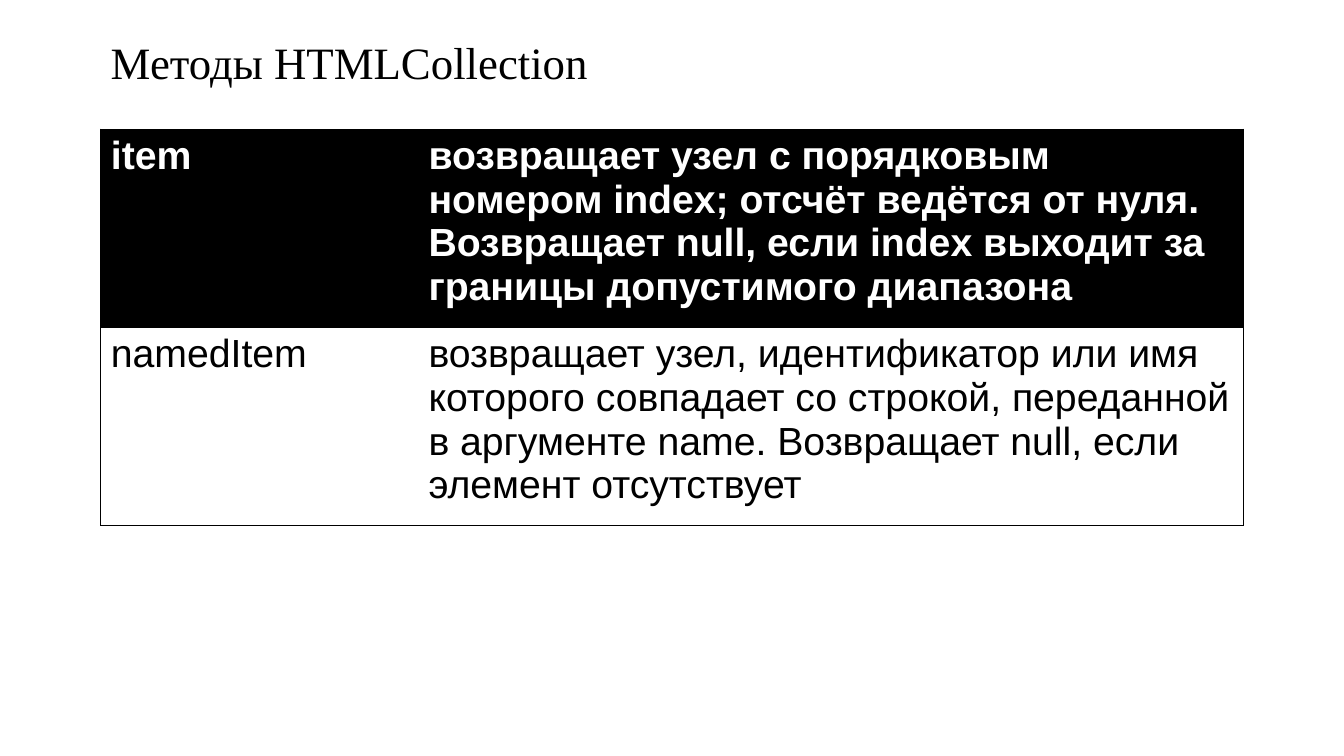
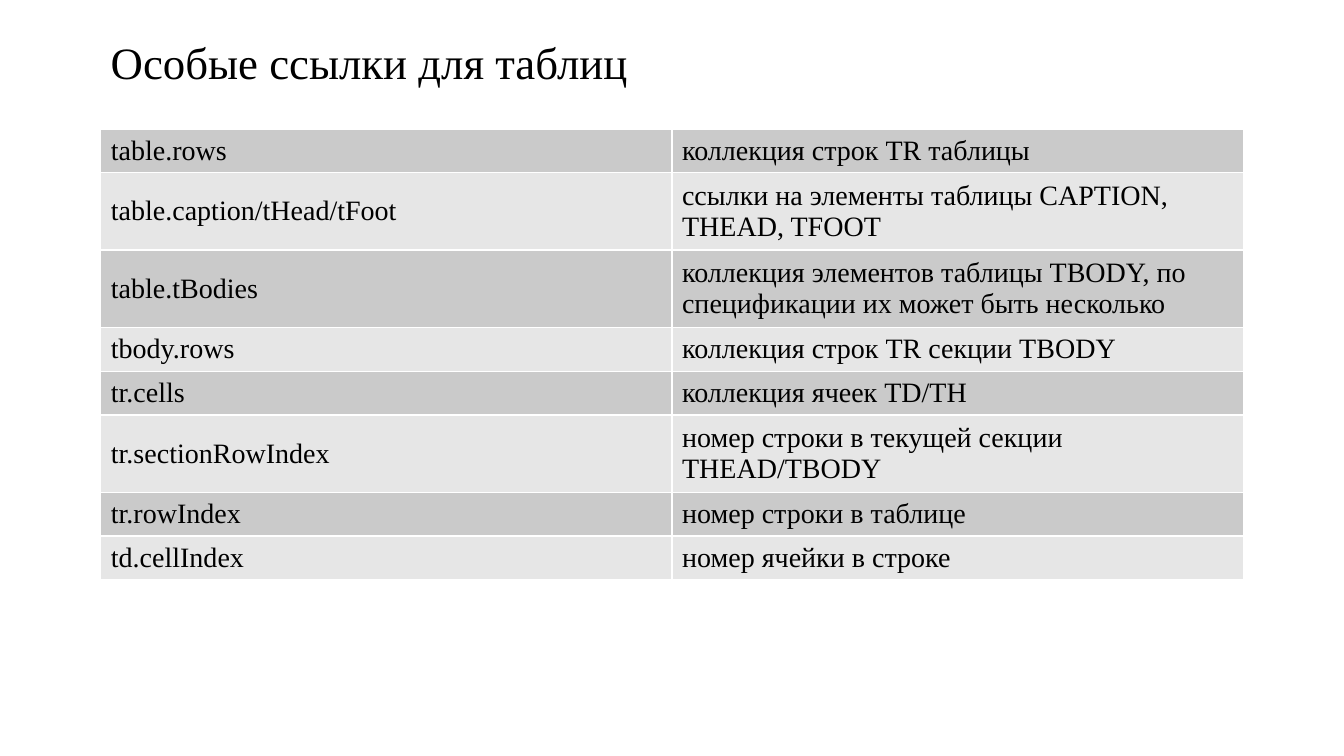
from pptx import Presentation
from pptx.dml.color import RGBColor
from pptx.enum.text import MSO_ANCHOR as Anchor
from pptx.oxml.ns import qn
from pptx.util import Inches, Pt
from lxml.etree import SubElement

BLACK, WHITE = "000000", "FFFFFF"
DARK_BAND, LIGHT_BAND = "CACACA", "E6E6E6"
SERIF, SANS = "Times New Roman", "Arial"
LEFT, CONTENT_WIDTH, TITLE_HEIGHT, ROW_HEIGHT = 1, 11.33, 1.28, 0.41
TITLE_FONT = {"name": SERIF, "size": Pt(32), "bold": False}
METHOD_FONT = {"name": SANS, "size": Pt(28)}
LINK_FONT = {"name": SERIF, "size": Pt(20), "bold": False}

METHODS = [
    ("item", "возвращает узел с порядковым номером index; отсчёт ведётся от нуля. "
             "Возвращает null, если index выходит за границы допустимого диапазона"),
    ("namedItem", "возвращает узел, идентификатор или имя которого совпадает со строкой, "
                  "переданной в аргументе name. Возвращает null, если элемент отсутствует"),
]
TABLE_LINKS = [
    ("table.rows", "коллекция строк TR таблицы"),
    ("table.caption/tHead/tFoot", "ссылки на элементы таблицы CAPTION, THEAD, TFOOT"),
    ("table.tBodies", "коллекция элементов таблицы TBODY, по спецификации их может быть несколько"),
    ("tbody.rows", "коллекция строк TR секции TBODY"),
    ("tr.cells", "коллекция ячеек TD/TH"),
    ("tr.sectionRowIndex", "номер строки в текущей секции THEAD/TBODY"),
    ("tr.rowIndex", "номер строки в таблице"),
    ("td.cellIndex", "номер ячейки в строке"),
]


def rgb(color):
    return RGBColor.from_string(color)


def write_text(paragraph, text, font_format, color):
    run = paragraph.add_run()
    run.text = text
    for name, value in font_format.items():
        setattr(run.font, name, value)
    run.font.color.rgb = rgb(color)


def add_titled_slide(presentation, title):
    slide = presentation.slides.add_slide(presentation.slide_layouts[6])
    box = slide.shapes.add_textbox(Inches(LEFT), 0, Inches(CONTENT_WIDTH), Inches(TITLE_HEIGHT))
    frame = box.text_frame
    frame.word_wrap = True
    frame.vertical_anchor = Anchor.MIDDLE
    paragraph = frame.paragraphs[0]
    paragraph.line_spacing = 0.9
    write_text(paragraph, title, TITLE_FONT, BLACK)
    return slide


def set_borders(cell, sides, color, width):
    """Draw the listed sides (from L, R, T, B) and hide the others."""
    properties = cell._tc.get_or_add_tcPr()
    for side in "LRTB":
        line = SubElement(properties, qn(f"a:ln{side}"), w=str(Pt(width)))
        if side in sides:
            fill = SubElement(line, qn("a:solidFill"))
            SubElement(fill, qn("a:srgbClr"), val=color)
        else:
            SubElement(line, qn("a:noFill"))


def add_plain_table(slide, rows, column_widths):
    frame = slide.shapes.add_table(
        len(rows), len(column_widths), Inches(LEFT), Inches(TITLE_HEIGHT),
        Inches(CONTENT_WIDTH), Inches(ROW_HEIGHT * len(rows)))
    table = frame.table
    table.first_row = table.horz_banding = False
    for column, width in zip(table.columns, column_widths):
        column.width = Inches(width)
    return table


def fill_cell(cell, text, font_format, color, background, anchor):
    write_text(cell.text_frame.paragraphs[0], text, font_format, color)
    cell.vertical_anchor = anchor
    if background:
        cell.fill.solid()
        cell.fill.fore_color.rgb = rgb(background)
    else:
        cell.fill.background()


def add_methods_table(slide):
    """Black header row and an outline without inner vertical lines."""
    table = add_plain_table(slide, METHODS, (3.15, 8.18))
    for row, texts in enumerate(METHODS):
        header = row == 0
        font_format = {**METHOD_FONT, "bold": header}
        color, background = (WHITE, BLACK) if header else (BLACK, None)
        for column, text in enumerate(texts):
            cell = table.cell(row, column)
            set_borders(cell, "LR"[column] + "TB", BLACK, 0.75)
            fill_cell(cell, text, font_format, color, background, Anchor.TOP)


def add_links_table(slide):
    """Grey bands separated by white lines."""
    table = add_plain_table(slide, TABLE_LINKS, (CONTENT_WIDTH / 2,) * 2)
    for row, texts in enumerate(TABLE_LINKS):
        band = (DARK_BAND, LIGHT_BAND)[row % 2]
        for column, text in enumerate(texts):
            cell = table.cell(row, column)
            set_borders(cell, "LRTB", WHITE, 1)
            fill_cell(cell, text, LINK_FONT, BLACK, band, Anchor.MIDDLE)


def main():
    presentation = Presentation()
    presentation.slide_width = Inches(13.33)
    presentation.slide_height = Inches(7.5)
    add_methods_table(add_titled_slide(presentation, "Методы HTMLCollection"))
    add_links_table(add_titled_slide(presentation, "Особые ссылки для таблиц"))
    presentation.save("out.pptx")


if __name__ == "__main__":
    main()
